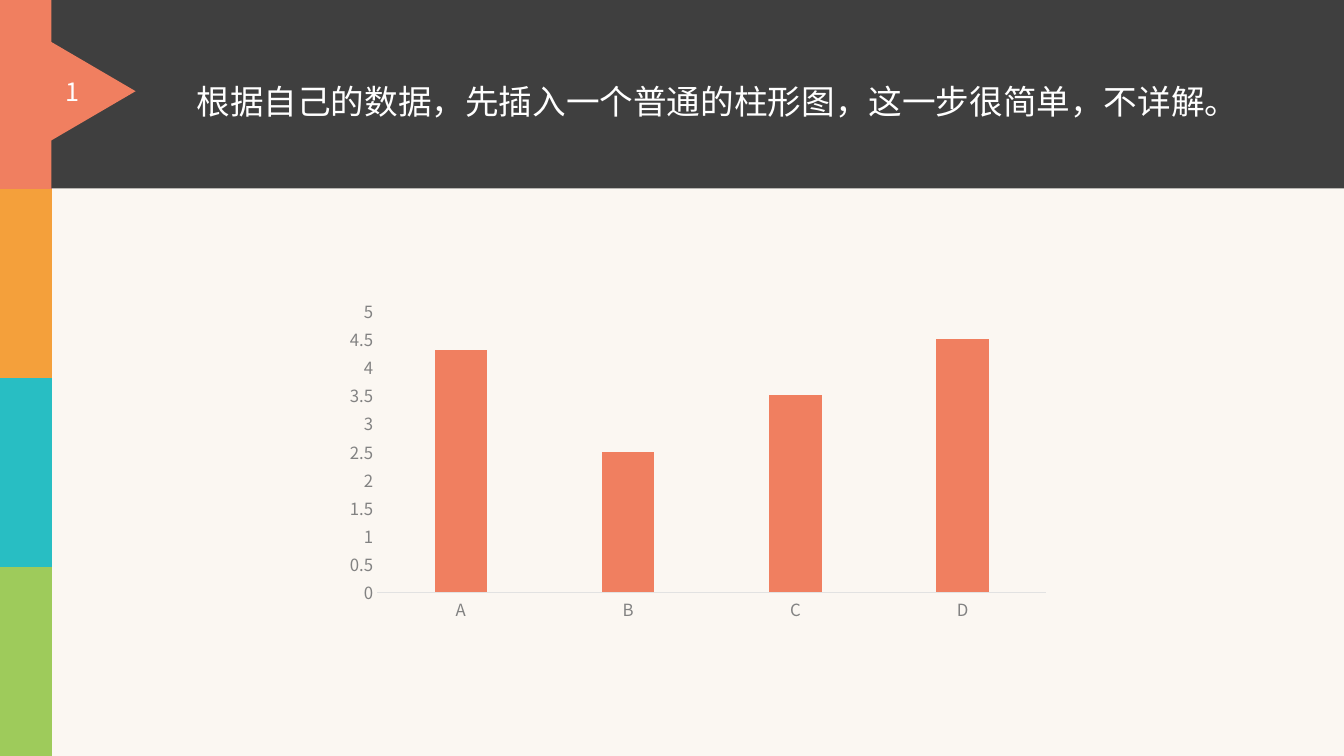
from lxml import etree
from pptx import Presentation
from pptx.chart.data import CategoryChartData
from pptx.dml.color import RGBColor
from pptx.enum.chart import XL_CHART_TYPE, XL_TICK_MARK
from pptx.enum.shapes import MSO_SHAPE
from pptx.enum.text import MSO_AUTO_SIZE
from pptx.oxml.ns import qn
from pptx.util import Inches, Pt

COLUMNS = XL_CHART_TYPE.COLUMN_CLUSTERED
NO_TICKS = XL_TICK_MARK.NONE
RECTANGLE = MSO_SHAPE.RECTANGLE
PROCESS = MSO_SHAPE.FLOWCHART_PROCESS
TRIANGLE = MSO_SHAPE.ISOSCELES_TRIANGLE
GROW = MSO_AUTO_SIZE.SHAPE_TO_FIT_TEXT

FONT = "Noto Sans CJK SC"
COLORS = {
    "paper": "FBF7F2",
    "banner": "3F3F3F",
    "coral": "F07F60",
    "orange": "F4A03B",
    "teal": "28BEC3",
    "green": "9ECB5B",
    "white": "FFFFFF",
    "label": "828282",
    "axis": "E2E2E2",
}
SIDEBAR = ["coral", "orange", "teal", "green"]
SIDEBAR_WIDTH = 0.52
STEP_HEIGHT = 7.5 / len(SIDEBAR)


def color(name):
    """Return the named colour."""
    return RGBColor.from_string(COLORS[name])


def style_font(font, size, color_name):
    """Set the face, size and colour of a font."""
    font.size = Pt(size)
    font.name = FONT
    font.color.rgb = color(color_name)


def add_block(slide, preset, box, fill, rotation=0):
    """Add a flat shape without outline."""
    block = slide.shapes.add_shape(preset, *map(Inches, box))
    block.shadow.inherit = False
    block.fill.solid()
    block.fill.fore_color.rgb = color(fill)
    block.line.fill.background()
    block.rotation = rotation


def add_text(slide, box, text, size, wrap=True, line_spacing=None):
    """Add a white one-paragraph text box."""
    frame = slide.shapes.add_textbox(*map(Inches, box)).text_frame
    frame.word_wrap = wrap
    frame.auto_size = GROW
    paragraph = frame.paragraphs[0]
    paragraph.text = text
    paragraph.line_spacing = line_spacing
    style_font(paragraph.font, size, "white")
    defaults = paragraph._p.pPr.find(qn("a:defRPr"))
    etree.SubElement(defaults, qn("a:ea"), typeface=FONT)


def place_plot(chart, **fractions):
    """Fix the inner plot area as fractions of the chart."""
    plot_area = chart._chartSpace.chart.plotArea
    layout = plot_area.find(qn("c:layout"))
    if layout is None:
        layout = etree.Element(qn("c:layout"))
        plot_area.insert(0, layout)
    manual = etree.SubElement(layout, qn("c:manualLayout"))
    settings = {"layoutTarget": "inner", "xMode": "edge", "yMode": "edge", **fractions}
    for tag, value in settings.items():
        etree.SubElement(manual, qn(f"c:{tag}"), val=str(value))


def add_column_chart(slide, box, categories, values):
    """Add the plain column chart."""
    data = CategoryChartData()
    data.categories = categories
    data.add_series("Series 1", values)
    chart = slide.shapes.add_chart(COLUMNS, *map(Inches, box), data).chart
    chart.has_legend = False
    chart.has_title = False
    style_font(chart.font, 10, "banner")
    place_plot(chart, x=0.056, y=0.14, w=0.927, h=0.726)

    plot = chart.plots[0]
    plot.gap_width = 219
    plot.overlap = -27
    plot.vary_by_categories = False
    columns = plot.series[0].format.fill
    columns.solid()
    columns.fore_color.rgb = color("coral")

    for axis in (chart.category_axis, chart.value_axis):
        axis.major_tick_mark = NO_TICKS
        axis.minor_tick_mark = NO_TICKS
        axis.has_major_gridlines = False
        style_font(axis.tick_labels.font, 12, "label")
    baseline = chart.category_axis.format.line
    baseline.width = Pt(0.75)
    baseline.color.rgb = color("axis")
    scale = chart.value_axis
    scale.format.line.fill.background()
    scale.minimum_scale = 0
    scale.maximum_scale = 5
    scale.major_unit = 0.5


def main():
    """Build and save the slide."""
    deck = Presentation()
    deck.slide_width = Inches(13.33)
    deck.slide_height = Inches(7.5)
    slide = deck.slides.add_slide(deck.slide_layouts[6])
    slide.background.fill.solid()
    slide.background.fill.fore_color.rgb = color("paper")

    for step, fill in enumerate(SIDEBAR):
        add_block(slide, PROCESS, (0, step * STEP_HEIGHT, SIDEBAR_WIDTH, STEP_HEIGHT), fill)
    add_block(slide, RECTANGLE, (0.51, 0, 12.83, 1.87), "banner")
    add_column_chart(slide, (3.34, 2.55, 7.16, 3.84), "ABCD", (4.3, 2.5, 3.5, 4.5))
    add_text(slide, (1.85, 0.55, 10.98, 0.71),
             "根据自己的数据，先插入一个普通的柱形图，这一步很简单，不详解。",
             24, line_spacing=1.5)
    add_block(slide, TRIANGLE, (0.38, 0.46, 1.04, 0.89), "coral", rotation=90)
    add_text(slide, (0.55, 0.71, 0.35, 0.4), "1", 18, wrap=False)
    deck.save("out.pptx")


if __name__ == "__main__":
    main()
